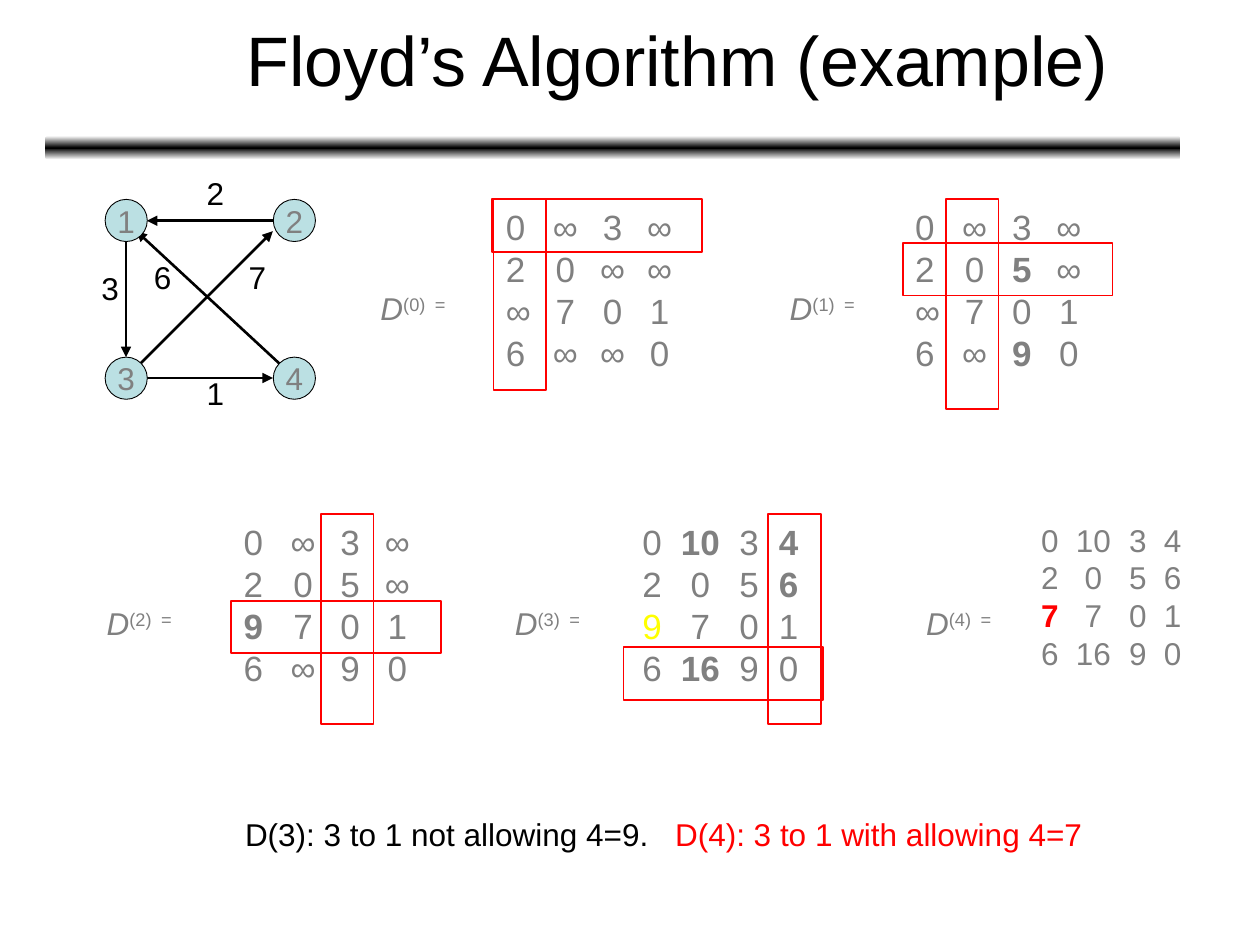
from pptx import Presentation
from pptx.dml.color import RGBColor
from pptx.enum.shapes import MSO_CONNECTOR, MSO_SHAPE
from pptx.enum.text import MSO_ANCHOR, PP_ALIGN
from pptx.oxml.ns import qn
from pptx.util import Cm, Pt
from lxml import etree
from copy import deepcopy

RECT, OVAL, ROUND = MSO_SHAPE.RECTANGLE, MSO_SHAPE.OVAL, MSO_SHAPE.ROUNDED_RECTANGLE
LEFT, CENTER = PP_ALIGN.LEFT, PP_ALIGN.CENTER
MIDDLE = MSO_ANCHOR.MIDDLE
STRAIGHT = MSO_CONNECTOR.STRAIGHT
COLORS = {name: RGBColor.from_string(value) for name, value in {
    "black": "000000", "white": "FFFFFF", "gray": "808080",
    "red": "FF0000", "yellow": "FFFF00", "node": "BBE0E3"}.items()}


def add_run(p, text, size, color="gray", bold=False, italic=False):
    r = p.add_run()
    r.text = text
    r.font.name = "Arial"
    r.font.size = Pt(size)
    r.font.bold = bold
    r.font.italic = italic
    r.font.color.rgb = COLORS[color]
    return r


def add_paragraph(tf, first=True, align=LEFT, tabs=(), tab_align="l"):
    p = tf.paragraphs[0] if first else tf.add_paragraph()
    p.alignment = align
    if tabs:
        tab_list = etree.SubElement(p._p.get_or_add_pPr(), qn("a:tabLst"))
        for pos in tabs:
            etree.SubElement(tab_list, qn("a:tab"), pos=str(Cm(pos)), algn=tab_align)
    return p


prs = Presentation()
prs.slide_width, prs.slide_height = Cm(25.4), Cm(19.05)
s = prs.slides.add_slide(prs.slide_layouts[6])

sp = s.shapes.add_shape(ROUND, Cm(0.91), Cm(2.74), Cm(22.89), Cm(0.48))
sp.shadow.inherit = False
sp.line.fill.background()
sp.fill.gradient()
sp.fill.gradient_angle = 90
stops = sp.fill._fill._gradFill.find(qn("a:gsLst"))
stops.insert(1, deepcopy(stops[0]))
for stop, position, color in zip(sp.fill.gradient_stops, (0, 0.5, 1), ("white", "black", "white")):
    stop.position = position
    stop.color.rgb = COLORS[color]

tf = s.shapes.add_textbox(Cm(1.9), 0, Cm(23.5), Cm(2.34)).text_frame
tf.word_wrap = True
tf.vertical_anchor = MIDDLE
add_run(add_paragraph(tf, align=CENTER), "Floyd’s Algorithm (example)", 40, "black")

WIDE, NARROW, SMALL = (1.2, 2.15, 3.1), (1.17, 2.15, 2.95), (1.05, 1.95, 2.65)
BOLD = ("gray", True)
matrices = [
    (9.95, 4.02, 20, WIDE, 7.42,
     ["0 ∞ 3 ∞", "2 0 ∞ ∞", "∞ 7 0 1", "6 ∞ ∞ 0"], {},
     [(9.92, 4.02, 4.23, 1.06), (9.95, 4.02, 1.06, 3.84)]),
    (18.2, 4.02, 20, WIDE, 15.67,
     ["0 ∞ 3 ∞", "2 0 5 ∞", "∞ 7 0 1", "6 ∞ 9 0"], {(1, 2): BOLD, (3, 2): BOLD},
     [(18.2, 4.9, 4.23, 1.06), (19.07, 4.02, 1.06, 4.23)]),
    (4.66, 10.37, 20, WIDE, 1.9,
     ["0 ∞ 3 ∞", "2 0 5 ∞", "9 7 0 1", "6 ∞ 9 0"], {(2, 0): BOLD},
     [(4.66, 12.11, 4.23, 1.06), (6.47, 10.37, 1.06, 4.23)]),
    (12.7, 10.37, 20, NARROW, 10.13,
     ["0 10 3 4", "2 0 5 6", "9 7 0 1", "6 16 9 0"],
     {(0, 1): BOLD, (0, 3): BOLD, (1, 3): BOLD, (2, 0): ("yellow", False), (3, 1): BOLD},
     [(12.57, 13.05, 4.02, 1.06), (15.49, 10.37, 1.06, 4.23)]),
    (20.74, 10.37, 18, SMALL, 18.42,
     ["0 10 3 4", "2 0 5 6", "7 7 0 1", "6 16 9 0"], {(2, 0): ("red", True)}, []),
]
for k, (x, y, size, tabs, label_x, rows, styles, boxes) in enumerate(matrices):
    tf = s.shapes.add_textbox(Cm(x), Cm(y), Cm(4.45), Cm(3.66)).text_frame
    tf.word_wrap = True
    for i, row in enumerate(rows):
        p = add_paragraph(tf, i == 0, tabs=tabs, tab_align="ctr")
        for j, value in enumerate(row.split()):
            color, bold = styles.get((i, j), ("gray", False))
            add_run(p, "\t" + value if j else value, size, color, bold)

    tf = s.shapes.add_textbox(Cm(label_x), Cm(y + 1.69), Cm(2.6), Cm(1.02)).text_frame
    tf.word_wrap = True
    p = add_paragraph(tf, tabs=[1.1])
    add_run(p, "D", 18, italic=True)
    r = add_run(p, f"({k})\t=", 18)
    r.font._element.set("baseline", "30000")

    for left, top, width, height in boxes:
        sp = s.shapes.add_shape(RECT, Cm(left), Cm(top), Cm(width), Cm(height))
        sp.shadow.inherit = False
        sp.fill.background()
        sp.line.color.rgb = COLORS["red"]
        sp.line.width = Pt(1)

edges = [
    (2.54, 4.87, 2.54, 7.2, "3", 1.69, 5.29),
    (5.5, 4.45, 2.96, 4.45, "2", 3.81, 3.39),
    (2.96, 7.62, 5.5, 7.62, "1", 3.81, 7.41),
    (2.75, 7.41, 5.5, 4.66, "7", 4.66, 5.08),
    (5.72, 7.41, 2.75, 4.66, "6", 2.75, 5.08),
]
for x1, y1, x2, y2, weight, x, y in edges:
    line = s.shapes.add_connector(STRAIGHT, Cm(x1), Cm(y1), Cm(x2), Cm(y2))
    line.line.color.rgb = COLORS["black"]
    line.line.width = Pt(1.5)
    etree.SubElement(line.line._get_or_add_ln(), qn("a:tailEnd"), type="triangle")
    etree.SubElement(line._element.spPr, qn("a:effectLst"))
    tf = s.shapes.add_textbox(Cm(x), Cm(y), Cm(1.06), Cm(1.02)).text_frame
    tf.word_wrap = True
    add_run(add_paragraph(tf, align=CENTER), weight, 18, "black")

for n in range(4):
    x, y = 2.12 + n % 2 * 3.39, 4.02 + n // 2 * 3.18
    sp = s.shapes.add_shape(OVAL, Cm(x), Cm(y), Cm(0.85), Cm(0.85))
    sp.shadow.inherit = False
    sp.fill.solid()
    sp.fill.fore_color.rgb = COLORS["node"]
    sp.line.color.rgb = COLORS["black"]
    sp.line.width = Pt(0.5)
    tf = sp.text_frame
    tf.word_wrap = False
    tf.vertical_anchor = MIDDLE
    add_run(add_paragraph(tf, align=CENTER), str(n + 1), 18)

tf = s.shapes.add_textbox(Cm(4.69), Cm(16.3), Cm(17.6), Cm(1.02)).text_frame
tf.word_wrap = True
p = add_paragraph(tf, tabs=[8.67])
add_run(p, "D(3): 3 to 1 not allowing 4=9.", 18, "black")
add_run(p, "\tD(4): 3 to 1 with allowing 4=7", 18, "red")

prs.save("out.pptx")
